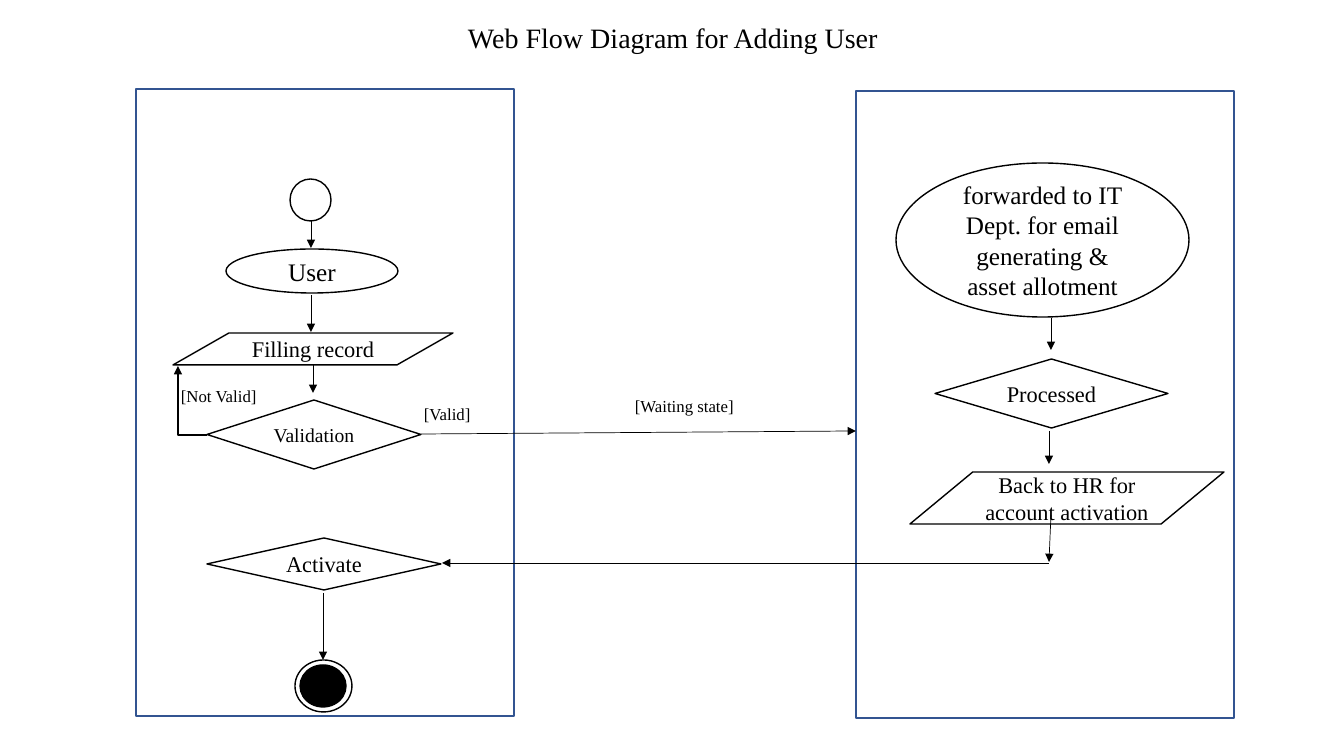
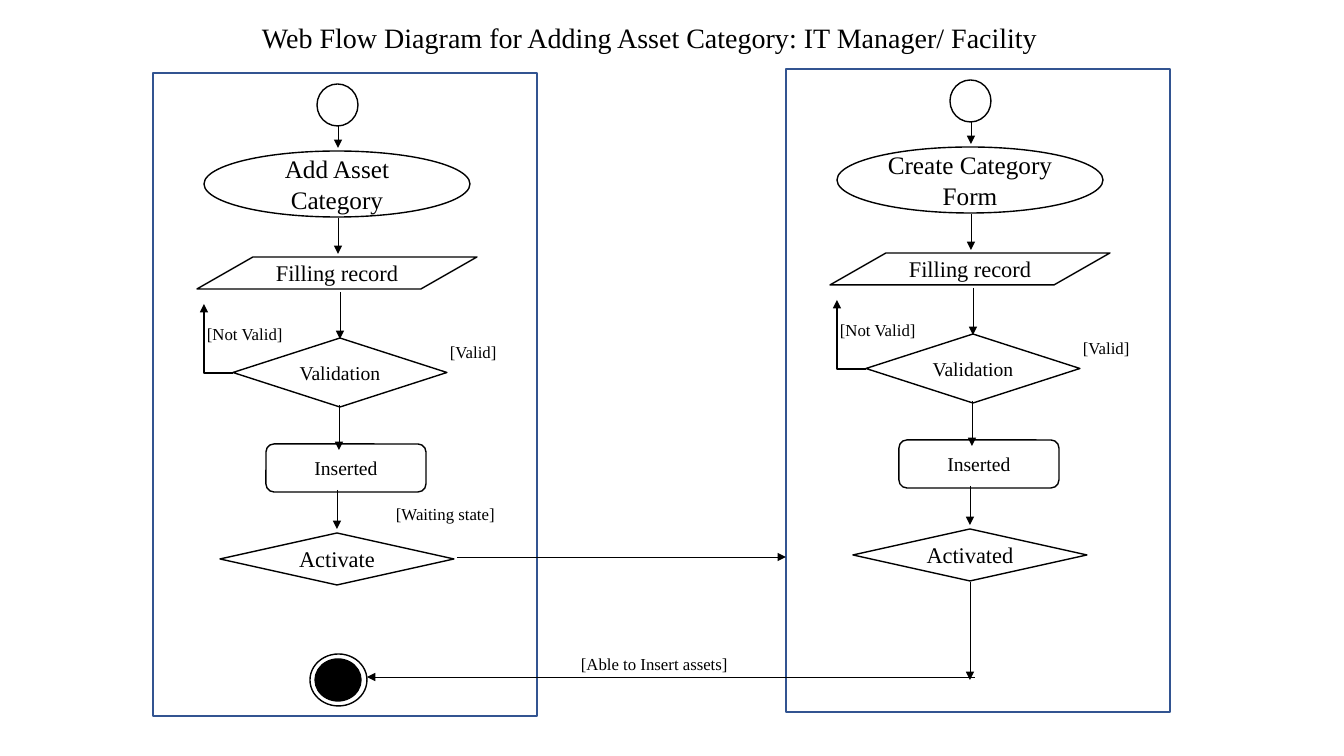
"""Build two web flow diagrams for adding users and asset categories."""
from lxml import etree
from pptx import Presentation
from pptx import util as u
from pptx.dml import color
from pptx.enum import shapes, text
from pptx.oxml import ns

PIXEL = 914400 / 100.8
FONT = "Times New Roman"
INK, PAPER, LANE_EDGE = "000000", "FFFFFF", "325491"
KIND = shapes.MSO_SHAPE
DATA = KIND.FLOWCHART_DATA
JOINT = KIND.FLOWCHART_CONNECTOR


def px(*lengths):
    return [u.Emu(round(length * PIXEL)) for length in lengths]


def rgb(value):
    return color.RGBColor.from_string(value)


def write(frame, words, size, align=None):
    para = frame.paragraphs[0]
    para.text = words
    para.alignment = align
    para.font.name = FONT
    para.font.size = u.Pt(size)
    para.font.color.rgb = rgb(INK)


def node(page, kind, x, y, w, h, caption="", size=16, fill=PAPER, edge=INK):
    shape = page.shapes.add_shape(kind, *px(x, y, w, h))
    shape.shadow.inherit = False
    if fill:
        shape.fill.solid()
        shape.fill.fore_color.rgb = rgb(fill)
    else:
        shape.fill.background()
    shape.line.color.rgb = rgb(edge)
    shape.line.width = u.Pt(1)
    if caption:
        shape.text_frame.vertical_anchor = text.MSO_ANCHOR.MIDDLE
        write(shape.text_frame, caption, size, text.PP_ALIGN.CENTER)


def lane(page, x, y, w, h):
    node(page, KIND.RECTANGLE, x, y, w, h, edge=LANE_EDGE)


def decision(page, x, y, w, h, caption, size=16):
    node(page, KIND.DIAMOND, x, y, w, h, caption, size, fill=None)


def text_box(page, x, y, w, h, words, size, wrap):
    box = page.shapes.add_textbox(*px(x, y, w, h))
    box.text_frame.word_wrap = wrap
    box.text_frame.auto_size = text.MSO_AUTO_SIZE.SHAPE_TO_FIT_TEXT
    write(box.text_frame, words, size)


def title(page, x, w, words):
    text_box(page, x, 16, w, 44, words, 20, True)


def label(page, x, y, w, words):
    text_box(page, x, y, w, 30, words, 12, False)


def arrow(page, x1, y1, x2, y2, width=0.5):
    connector = page.shapes.add_connector(
        shapes.MSO_CONNECTOR.STRAIGHT, *px(x1, y1, x2, y2))
    connector.line.color.rgb = rgb(INK)
    connector.line.width = u.Pt(width)
    properties = connector.element.spPr
    line = properties.find(ns.qn("a:ln"))
    etree.SubElement(line, ns.qn("a:tailEnd"), type="triangle")
    etree.SubElement(properties, ns.qn("a:effectLst"))
    return connector


def down(page, x, top, tip):
    arrow(page, x, top, x, tip)


def loop_back(page, x, y, w, h):
    properties = arrow(page, x, y, x + w, y + h, 1).element.spPr
    properties.find(ns.qn("a:xfrm")).set("rot", "10800000")
    properties.find(ns.qn("a:prstGeom")).set("prst", "bentConnector2")


def start(page, x, y, tip):
    down(page, x + 21, y + 42, y + tip)
    node(page, KIND.OVAL, x, y, 41, 42)


def finish(page, x, y):
    node(page, JOINT, x, y, 57, 52)
    node(page, JOINT, x + 5, y + 5, 46, 42, fill=INK)


def validation(page, x, y):
    decision(page, x, y, 214, 69, "Validation", 14)
    loop_back(page, x - 29, y - 34, 29, 69)
    label(page, x - 36, y - 19, 97, "[Not Valid]")
    label(page, x + 207, y - 1, 68, "[Valid]")


def category_lane(page, x, y, first, last):
    lane(page, x, y, 384, 643)
    start(page, x + 164, y + 11, 64)
    node(page, KIND.OVAL, x + 51, y + 78, 266, 66, first, 18)
    down(page, x + 185, y + 145, y + 181)
    node(page, DATA, x + 44, y + 184, 280, 32, "Filling record")
    down(page, x + 187, y + 219, y + 266)
    validation(page, x + 80, y + 265)
    node(page, KIND.ROUNDED_RECTANGLE, x + 113, y + 371, 160, 48, "Inserted", 14)
    down(page, x + 186, y + 332, y + 377)
    down(page, x + 184, y + 417, y + 456)
    decision(page, x + 67, y + 460, 234, 52, last)


def user_page(page):
    title(page, 458, 607, "Web Flow Diagram for Adding User")
    lane(page, 856, 91, 378, 627)
    lane(page, 136, 89, 378, 627)

    start(page, 290, 179, 69)
    node(page, KIND.OVAL, 226, 249, 172, 44, "User", 18)
    down(page, 311, 295, 332)
    down(page, 313, 361, 393)
    node(page, DATA, 173, 333, 280, 32, "Filling record")
    validation(page, 207, 400)
    decision(page, 207, 538, 234, 52, "Activate")
    finish(page, 295, 660)
    down(page, 323, 593, 660)

    node(page, KIND.OVAL, 896, 163, 293, 154,
         "forwarded to IT Dept. for email generating & asset allotment", 18)
    down(page, 1051, 318, 350)
    decision(page, 935, 359, 233, 69, "Processed")
    down(page, 1049, 431, 464)
    node(page, DATA, 910, 472, 314, 52, "Back to HR for account activation")
    arrow(page, 1051, 515, 1049, 562)

    arrow(page, 421, 434, 856, 431)
    label(page, 625, 391, 121, "[Waiting state]")
    arrow(page, 1049, 563, 442, 563)


def category_page(page):
    title(page, 252, 823,
          "Web Flow Diagram for Adding Asset Category: IT Manager/ Facility")
    category_lane(page, 153, 73, "Add Asset Category", "Activate")
    category_lane(page, 786, 69, "Create Category Form", "Activated")
    finish(page, 310, 654)
    down(page, 970, 582, 680)
    arrow(page, 457, 557, 786, 557)
    label(page, 386, 499, 121, "[Waiting state]")
    arrow(page, 975, 677, 367, 677)
    label(page, 571, 649, 169, "[Able to Insert assets]")


def main():
    deck = Presentation()
    deck.slide_width, deck.slide_height = px(1344, 756)
    for build in (user_page, category_page):
        build(deck.slides.add_slide(deck.slide_layouts[6]))
    deck.save("out.pptx")


main()
